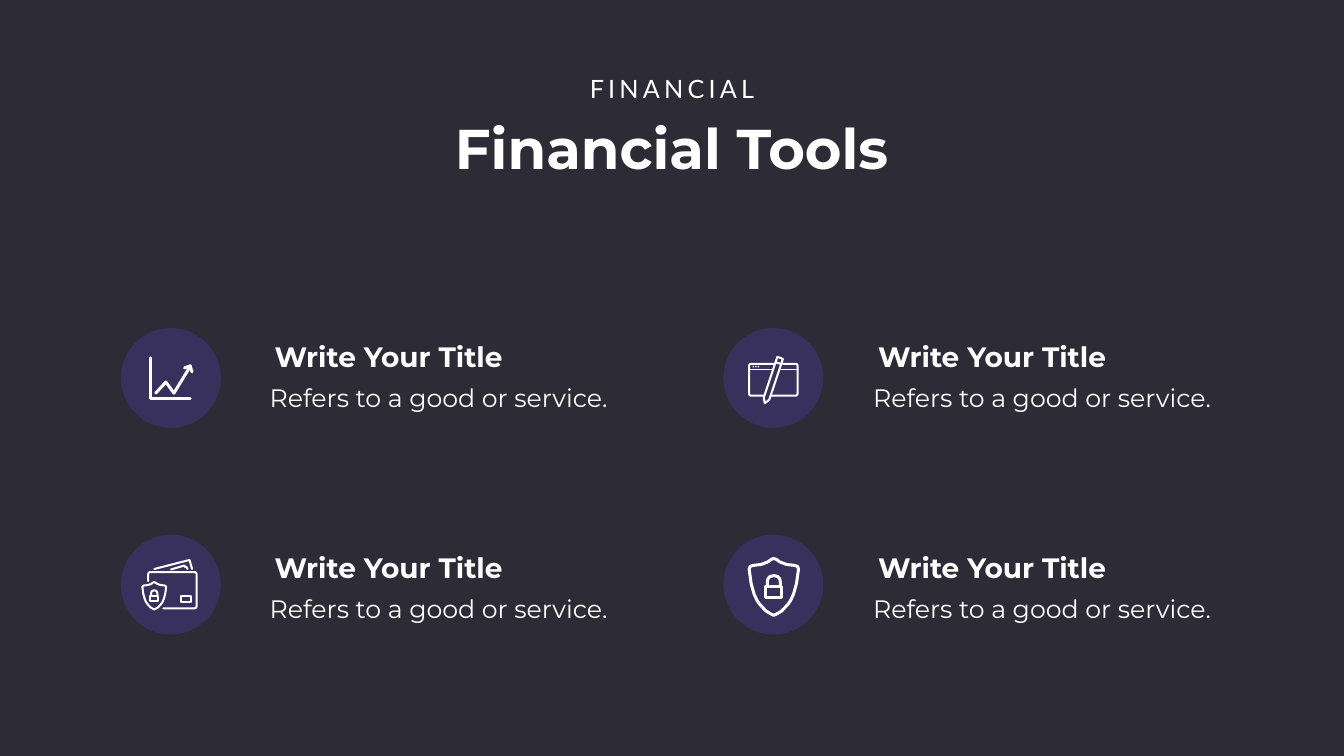
from dataclasses import dataclass
from itertools import product

from lxml import etree
from pptx import Presentation
from pptx import util as u
from pptx.dml.color import RGBColor
from pptx.enum import shapes, text
from pptx.oxml.ns import qn

SCALE = 9144  # EMU per px, 100 px to the inch
WIDTH, HEIGHT = 2666, 1500


@dataclass(frozen=True)
class Theme:
    ground: str = "2D2C36"
    accent: str = "6642FB"
    ink: str = "FFFFFF"
    accent_opacity: int = 20
    heading_font: str = "Montserrat"
    label_font: str = "Lato"
    title_size: int = 80
    item_size: int = 40
    body_size: int = 36


def emu(px):
    return u.Emu(round(px * SCALE))


def round_corners(points, radius):
    """Replace each inner corner of an open path by a short curve."""
    path = [points[0]]
    for before, corner, after in zip(points, points[1:], points[2:]):
        ends = []
        for other in (before, after):
            dx, dy = other[0] - corner[0], other[1] - corner[1]
            part = radius / (dx * dx + dy * dy) ** 0.5
            ends.append((corner[0] + dx * part, corner[1] + dy * part))
        for step in range(5):
            t = step / 4
            path.append(tuple((1 - t) ** 2 * a + 2 * t * (1 - t) * c + t * t * b
                              for a, c, b in zip(ends[0], corner, ends[1])))
    return path + [points[-1]]


class SlidePainter:
    def __init__(self, slide, theme):
        self.slide = slide
        self.theme = theme

    def solid(self, kind, left, top, width, height, color, opacity=100):
        shape = self.slide.shapes.add_shape(kind, *map(emu, (left, top, width, height)))
        shape.shadow.inherit = False
        shape.fill.solid()
        shape.fill.fore_color.rgb = RGBColor.from_string(color)
        shape.line.fill.background()
        if opacity < 100:
            tint = shape.fill._xPr.find(".//" + qn("a:srgbClr"))
            etree.SubElement(tint, qn("a:alpha"), val=str(opacity * 1000))

    def stroke(self, points, weight, closed=False):
        start, *others = [(emu(x), emu(y)) for x, y in points]
        builder = self.slide.shapes.build_freeform(*start, scale=1.0)
        builder.add_line_segments(others, close=closed)
        shape = builder.convert_to_shape()
        shape.shadow.inherit = False
        shape.fill.background()
        shape.line.color.rgb = RGBColor.from_string(self.theme.ink)
        shape.line.width = emu(weight)
        outline = shape.line._get_or_add_ln()
        outline.set("cap", "rnd")
        etree.SubElement(outline, qn("a:round"))

    def frame(self, left, top, right, bottom, weight):
        self.stroke([(left, top), (right, top), (right, bottom), (left, bottom)],
                    weight, closed=True)

    def label(self, words, left, top, width, height, size, font, bold=False,
              centred=False, inset=(10, 5), spacing=0):
        box = self.slide.shapes.add_textbox(*map(emu, (left, top, width, height)))
        frame = box.text_frame
        frame.word_wrap = True
        frame.margin_left = frame.margin_right = emu(inset[0])
        frame.margin_top = frame.margin_bottom = emu(inset[1])
        frame.text = words
        para = frame.paragraphs[0]
        para.alignment = text.PP_ALIGN.CENTER if centred else text.PP_ALIGN.LEFT
        span = para.runs[0]
        span.font.name = font
        span.font.size = u.Pt(size)
        span.font.bold = bold
        span.font.color.rgb = RGBColor.from_string(self.theme.ink)
        if spacing:
            span.font._element.set("spc", str(spacing * 100))

    def locked_shield(self, middle, top, size, weight):
        def placed(points):
            return [(middle + x * size, top + y * size) for x, y in points]

        def mirrored(half):
            return placed(half + [(-x, y) for x, y in reversed(half)])

        edge = [(0, 0), (5, 2), (12, 7), (25, 12), (42, 14), (47, 16), (49, 21), (45, 50),
                (39, 71), (33, 84), (28, 91), (16, 104), (8, 109), (0, 113)]
        self.stroke(mirrored(edge), weight, closed=True)
        self.stroke(mirrored([(13, 56), (13, 47), (12, 41), (8, 36), (0, 34)][::1]), weight)
        self.stroke(mirrored([(16, 56), (16, 78)]), weight, closed=True)

    def chart_icon(self):
        self.stroke([(298, 710), (298, 790), (377, 790)], 6)
        self.stroke([(309, 780), (329, 758), (345, 780), (378, 726)], 6)
        self.stroke([(366, 730), (377, 726), (381, 738)], 6)

    def design_icon(self):
        # Window, open where the pencil crosses it
        self.stroke(round_corners([(1535, 722), (1486, 722), (1486, 785), (1515, 785)], 4), 4)
        self.stroke(round_corners([(1553, 722), (1582, 722), (1582, 785), (1530, 785)], 4), 4)
        for start, end in ((1487, 1532), (1549, 1581)):
            self.stroke([(start, 733), (end, 733)], 3)
        for dot in range(3):
            self.solid(shapes.MSO_SHAPE.OVAL, 1493 + 5 * dot, 726, 3, 3, self.theme.ink)
        # Pencil
        self.stroke([(1542, 708), (1553, 712), (1526, 793), (1517, 800), (1515, 789)],
                    4, closed=True)
        self.stroke([(1539, 719), (1549, 722)], 4)

    def wallet_icon(self):
        self.stroke(round_corners([(324, 1207), (390, 1207), (390, 1135), (294, 1135),
                                   (294, 1153)], 5), 4)
        self.stroke([(306, 1129), (376, 1111), (381, 1129)], 4)
        self.stroke([(339, 1130), (366, 1122), (367, 1125), (370, 1125), (372, 1129)], 4)
        self.frame(360, 1183, 378, 1195, 4)
        self.locked_shield(306, 1155, 0.48, 4)

    def shield_icon(self):
        self.locked_shield(1535, 1108, 1, 6)


def main():
    deck = Presentation()
    deck.slide_width, deck.slide_height = emu(WIDTH), emu(HEIGHT)
    theme = Theme()
    page = SlidePainter(deck.slides.add_slide(deck.slide_layouts[6]), theme)

    # Background
    page.solid(shapes.MSO_SHAPE.RECTANGLE, 0, 0, WIDTH, HEIGHT, theme.ground)

    # Heading
    page.label("Financial Tools", 844, 221, 977, 145, theme.title_size,
               theme.heading_font, bold=True, centred=True)
    page.label("FINANCIAL", 1149, 140, 368, 71, theme.body_size,
               theme.label_font, centred=True, spacing=6)

    # Two by two grid of tools
    icons = (page.chart_icon, page.design_icon, page.wallet_icon, page.shield_icon)
    for (row, column), draw_icon in zip(product(range(2), repeat=2), icons):
        page.solid(shapes.MSO_SHAPE.OVAL, 240 + 1195 * column, 651 + 410 * row, 198, 198,
                   theme.accent, theme.accent_opacity)
        draw_icon()
        left, drop = 511 + 1197 * column, 418 * row
        page.label("Refers to a good or service.", left, 747 + drop, 718, 85,
                   theme.body_size, theme.heading_font, inset=(24, 12))
        page.label("Write Your Title", left + 24, 669 + drop, 567, 77,
                   theme.item_size, theme.heading_font, bold=True)

    deck.save("out.pptx")


if __name__ == "__main__":
    main()
